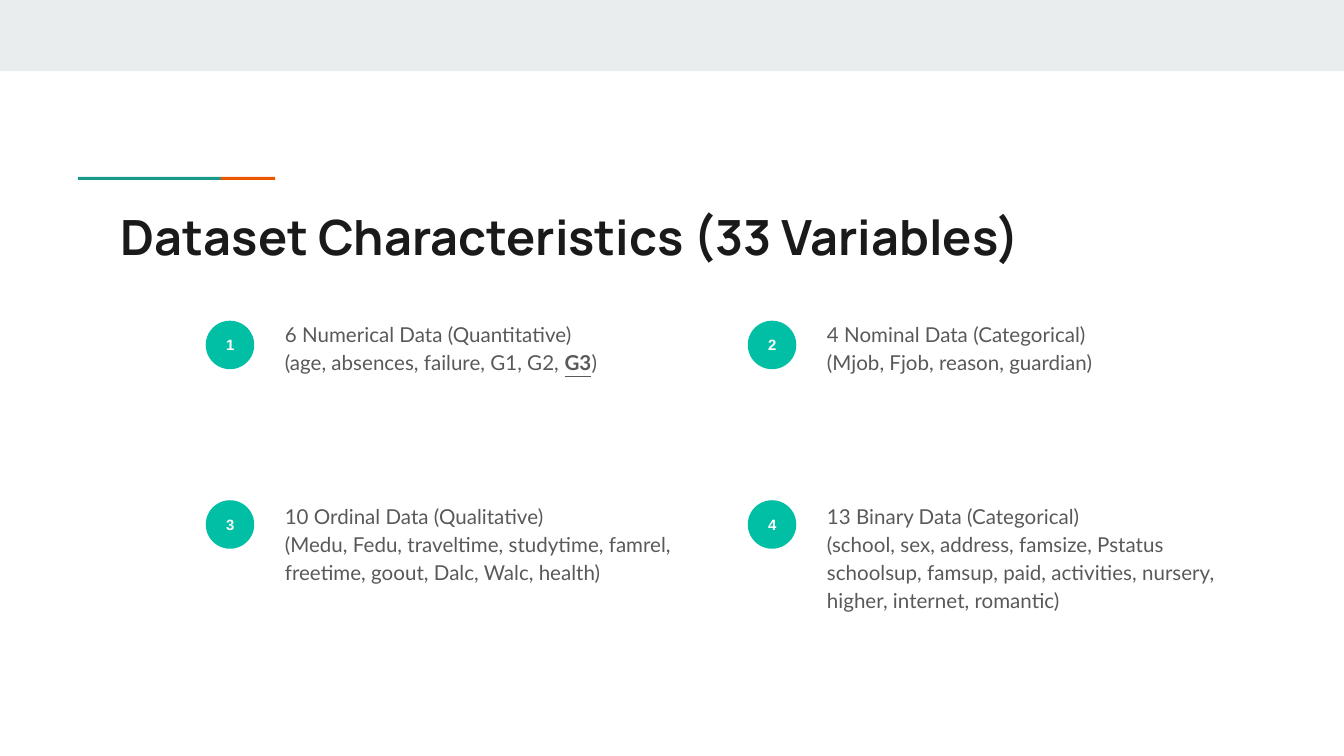
from pptx import Presentation
from pptx.dml.color import RGBColor
from pptx.enum.shapes import MSO_SHAPE as Shape
from pptx.enum.text import MSO_ANCHOR as Anchor, MSO_AUTO_SIZE as AutoSize, PP_ALIGN as Align
from pptx.oxml.ns import qn
from pptx.util import Pt
from lxml import etree

INSET = 7.2
COL_STEP = 290.4
TEXT_ROW_STEP, BADGE_ROW_STEP = 97.2, 96.2

# Each run is text or (text, emphasised); each item is a list of paragraphs.
ITEMS = [
    [["6 Numerical Data (Quantitative)"],
     ["(age, absences, failure, G1, G2, ", ("G3", True), ")"]],
    [["4 Nominal Data (Categorical)"],
     ["(Mjob, Fjob, reason, guardian)"]],
    [["10 Ordinal Data (Qualitative)"],
     ["(Medu, Fedu, traveltime, studytime, famrel, "
      "freetime, goout, Dalc, Walc, health)"]],
    [["13 Binary Data (Categorical)"],
     ["(school, sex, address, famsize, Pstatus "
      "schoolsup, famsup, paid, activities, nursery, "
      "higher, internet, romantic)"]],
]


def color(hex_string):
    return RGBColor.from_string(hex_string)


class SlideBuilder:
    BAND, TEAL, ORANGE, BADGE = "E9EDEE", "1A9988", "EB5600", "00BFA5"
    INK, GREY, WHITE = "1A1A1A", "595959", "FFFFFF"
    TITLE_FONT, BODY_FONT, BADGE_FONT = "Manrope", "Lato", "Arial"

    def __init__(self, slide):
        self.s = slide

    def style(self, p, font, size, hex_string, bold=False):
        p.font.name, p.font.size, p.font.bold = font, Pt(size), bold
        p.font.color.rgb = color(hex_string)

    def place(self, sp, x, y, w, h):
        sp.left, sp.top, sp.width, sp.height = Pt(x), Pt(y), Pt(w), Pt(h)

    def frame(self, sp, anchor=Anchor.TOP):
        tf = sp.text_frame
        tf.word_wrap, tf.auto_size = True, AutoSize.NONE
        tf.vertical_anchor = anchor
        tf.margin_left = tf.margin_right = Pt(INSET)
        tf.margin_top = tf.margin_bottom = Pt(INSET)
        return tf

    def shape(self, kind, x, y, w, h, fill):
        sp = self.s.shapes.add_shape(kind, Pt(x), Pt(y), Pt(w), Pt(h))
        sp.shadow.inherit = False
        sp.fill.solid()
        sp.fill.fore_color.rgb = color(fill)
        sp.line.fill.background()
        return sp

    def title(self, text, x, y, w, h):
        sp = self.s.shapes.title
        self.place(sp, x, y, w, h)
        p = self.frame(sp).paragraphs[0]
        p.text, p.alignment = text, Align.LEFT
        self.style(p, self.TITLE_FONT, 26, self.INK, bold=True)

    def body(self, sp, paragraphs, x, y, w, h):
        self.place(sp, x, y, w, h)
        tf = self.frame(sp)
        for i, runs in enumerate(paragraphs):
            p = tf.add_paragraph() if i else tf.paragraphs[0]
            p.alignment, p.line_spacing = Align.LEFT, 1.15
            p.space_before = p.space_after = Pt(0)
            self.style(p, self.BODY_FONT, 11, self.GREY)
            self.remove_bullet(p)
            for run in runs:
                text, emphasised = (run, False) if isinstance(run, str) else run
                r = p.add_run()
                r.text = text
                if emphasised:
                    r.font.bold = r.font.underline = True

    def remove_bullet(self, p):
        pPr = p._p.get_or_add_pPr()
        pPr.set("marL", "0")
        pPr.set("indent", "0")
        bullet = etree.Element(qn("a:buNone"))
        pPr.find(qn("a:defRPr")).addprevious(bullet)

    def badge(self, number, x, y, size):
        sp = self.shape(Shape.OVAL, x, y, size, size, self.BADGE)
        p = self.frame(sp, Anchor.MIDDLE).paragraphs[0]
        p.text, p.alignment = str(number), Align.CENTER
        self.style(p, self.BADGE_FONT, 8, self.WHITE, bold=True)


def main():
    prs = Presentation()
    prs.slide_width, prs.slide_height = Pt(720), Pt(405)
    # The Comparison layout has a title and four body placeholders.
    s = prs.slides.add_slide(prs.slide_layouts.get_by_name("Comparison"))
    b = SlideBuilder(s)

    b.shape(Shape.RECTANGLE, 0, 0, 720, 38.2, b.BAND)
    b.shape(Shape.RECTANGLE, 41.8, 94.8, 76.5, 1.6, b.TEAL)
    b.shape(Shape.RECTANGLE, 118.3, 94.8, 29.2, 1.6, b.ORANGE)
    b.title("Dataset Characteristics (33 Variables)", 57.6, 103.7, 605.5, 42.5)

    bodies = [sp for sp in s.placeholders if sp.placeholder_format.idx]
    for i, (sp, item) in enumerate(zip(bodies, ITEMS)):
        row, col = divmod(i, 2)
        b.body(sp, item, 145.4 + col * COL_STEP, 163.4 + row * TEXT_ROW_STEP, 223.2, 82.8)
        b.badge(i + 1, 110.2 + col * COL_STEP, 171.8 + row * BADGE_ROW_STEP, 26)

    prs.save("out.pptx")


if __name__ == "__main__":
    main()
